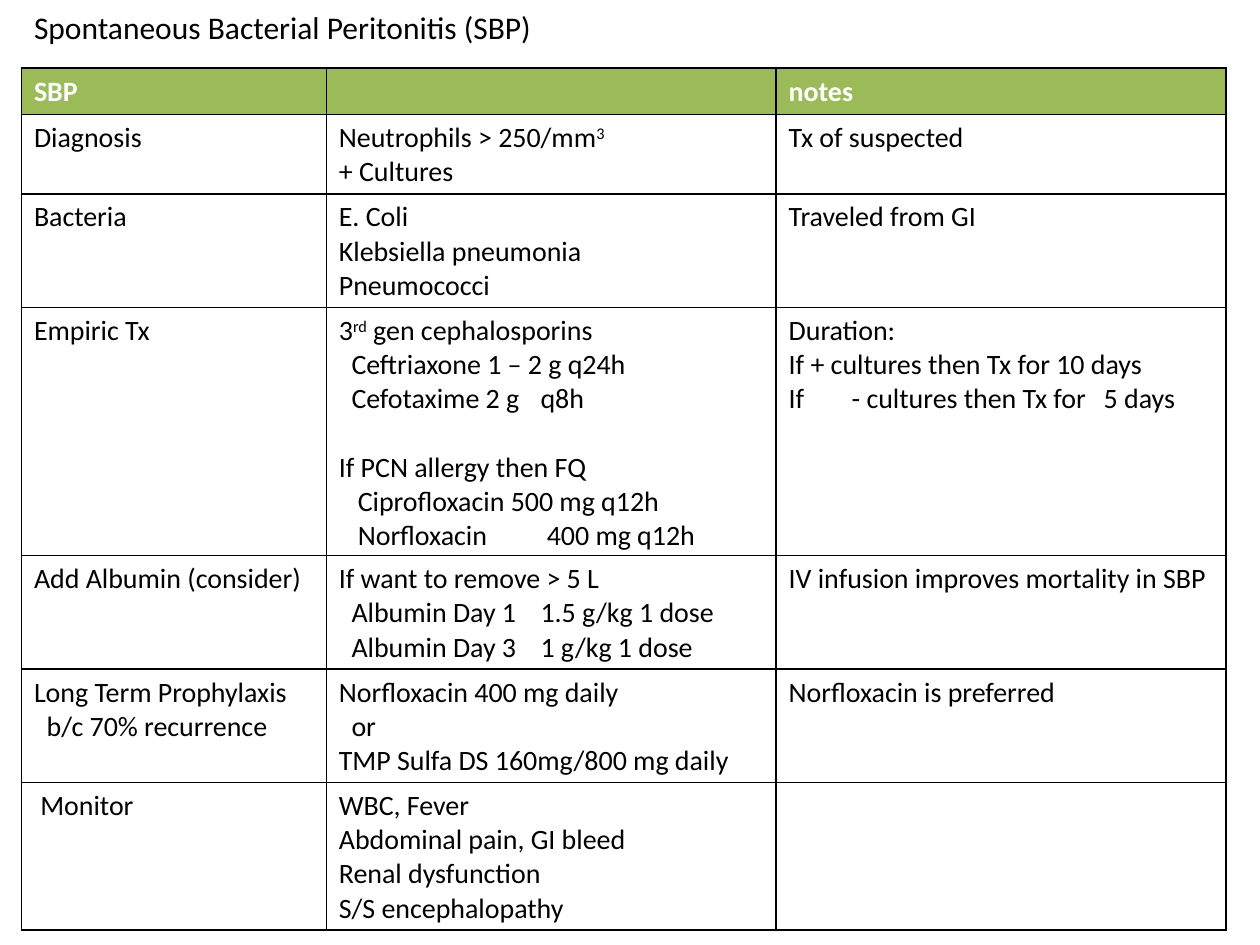
from lxml.etree import SubElement as Sub
from pptx import Presentation as Deck
from pptx.dml.color import RGBColor as Rgb
from pptx.enum.text import MSO_ANCHOR as Anchor, PP_ALIGN as Align
from pptx.oxml.ns import qn
from pptx.util import Inches, Pt

HUES = {"ink": "000000", "head": "9BBB59", "paper": "FFFFFF"}
COLS = [2.42, 3.57, 3.57]
HIGHS = [0.37, 0.63, 0.9, 1.97, 0.9, 0.9, 1.17]


def line(text, inset=0, tabs=(), gap=0):
    return text, inset, tabs, gap


ROWS = [
    [["SBP"], [], ["notes"]],
    [["Diagnosis"], ["Neutrophils > 250/mm^3^", "+ Cultures"],
     ["Tx of suspected"]],
    [["Bacteria"], ["E. Coli", "Klebsiella pneumonia", "Pneumococci"],
     ["Traveled from GI"]],
    [["Empiric Tx"],
     ["3^rd^ gen cephalosporins",
      line("Ceftriaxone 1 – 2 g q24h", 0.1),
      line("Cefotaxime 2 g\tq8h", 0.1, [1.83]),
      line("If PCN allergy then FQ", gap=19.5),
      line("Ciprofloxacin 500 mg q12h", 0.15),
      line("Norfloxacin\t400 mg q12h", 0.15, [1.38])],
     ["Duration:", "If + cultures then Tx for 10 days",
      line("If\t- cultures then Tx for\t5 days", 0, [0.22, 2.18])]],
    [["Add Albumin (consider)"],
     ["If want to remove > 5 L",
      line("Albumin Day 1\t1.5 g/kg 1 dose", 0.1, [1.76]),
      line("Albumin Day 3\t1 g/kg 1 dose", 0.1, [1.76])],
     ["IV infusion improves mortality in SBP"]],
    [["Long Term Prophylaxis", line("b/c 70% recurrence", 0.1)],
     ["Norfloxacin 400 mg daily", line("or", 0.1),
      "TMP Sulfa DS 160mg/800 mg daily"],
     ["Norfloxacin is preferred"]],
    [[line("Monitor", 0.05)],
     ["WBC, Fever", "Abdominal pain, GI bleed", "Renal dysfunction",
      "S/S encephalopathy"], []],
]


class Page:
    def __init__(self, slide, face="Calibri", size=16):
        self.slide, self.face, self.size = slide, face, size

    def style(self, run, size, hue="ink", bold=False):
        font = run.font
        font.name, font.size, font.bold = self.face, Pt(size), bold
        font.color.rgb = Rgb.from_string(HUES[hue])

    def title(self, text, left, top, wide, high):
        box = self.slide.shapes.title
        box.left, box.top = Inches(left), Inches(top)
        box.width, box.height = Inches(wide), Inches(high)
        frame = box.text_frame
        frame.text = text
        frame.word_wrap = False
        frame.vertical_anchor = Anchor.TOP
        para = frame.paragraphs[0]
        para.alignment = Align.LEFT
        self.style(para.runs[0], 18)

    def para(self, para, item, head):
        text, inset, tabs, gap = line(item) if isinstance(item, str) else item
        props = para._p.get_or_add_pPr()
        props.set("marL", str(Inches(inset)))
        props.set("indent", "0")
        if tabs:
            stops = Sub(props, qn("a:tabLst"))
            for stop in tabs:
                Sub(stops, qn("a:tab"), pos=str(Inches(stop)), algn="l")
        if gap:
            para.space_before = Pt(gap)
        for num, part in enumerate(text.split("^")):
            if part:
                run = para.add_run()
                run.text = part
                self.style(run, self.size, "paper" if head else "ink", head)
                if num % 2:
                    run.font._element.set("baseline", "30000")

    def border(self, cell):
        props = cell._tc.get_or_add_tcPr()
        for num, side in enumerate(("lnL", "lnR", "lnT", "lnB")):
            edge = props.makeelement(qn("a:" + side), {"w": str(Pt(1))})
            props.insert(num, edge)
            fill = Sub(edge, qn("a:solidFill"))
            Sub(fill, qn("a:srgbClr"), val=HUES["ink"])

    def table(self, rows, left, top, cols, highs):
        grid = self.slide.shapes.add_table(
            len(rows), len(cols), Inches(left), Inches(top),
            Inches(sum(cols)), Inches(sum(highs))).table
        for col, wide in zip(grid.columns, cols):
            col.width = Inches(wide)
        for num, (row, high) in enumerate(zip(rows, highs)):
            grid.rows[num].height = Inches(high)
            for cell, items in zip(grid.rows[num].cells, row):
                self.cell(cell, items, num == 0)

    def cell(self, cell, items, head):
        cell.fill.solid()
        cell.fill.fore_color.rgb = Rgb.from_string(
            HUES["head" if head else "paper"])
        cell.margin_bottom = Inches(0.02)
        self.border(cell)
        frame = cell.text_frame
        frame.paragraphs[0].font.size = Pt(self.size)
        for num, item in enumerate(items):
            para = frame.add_paragraph() if num else frame.paragraphs[0]
            self.para(para, item, head)


def main():
    deck = Deck()
    deck.slide_width, deck.slide_height = Inches(10), Inches(7.5)
    page = Page(deck.slides.add_slide(deck.slide_layouts[5]))
    page.title("Spontaneous Bacterial Peritonitis (SBP)", 0.17, 0.01, 4.2, 0.4)
    page.table(ROWS, 0.17, 0.54, COLS, HIGHS)
    deck.save("out.pptx")


if __name__ == "__main__":
    main()
